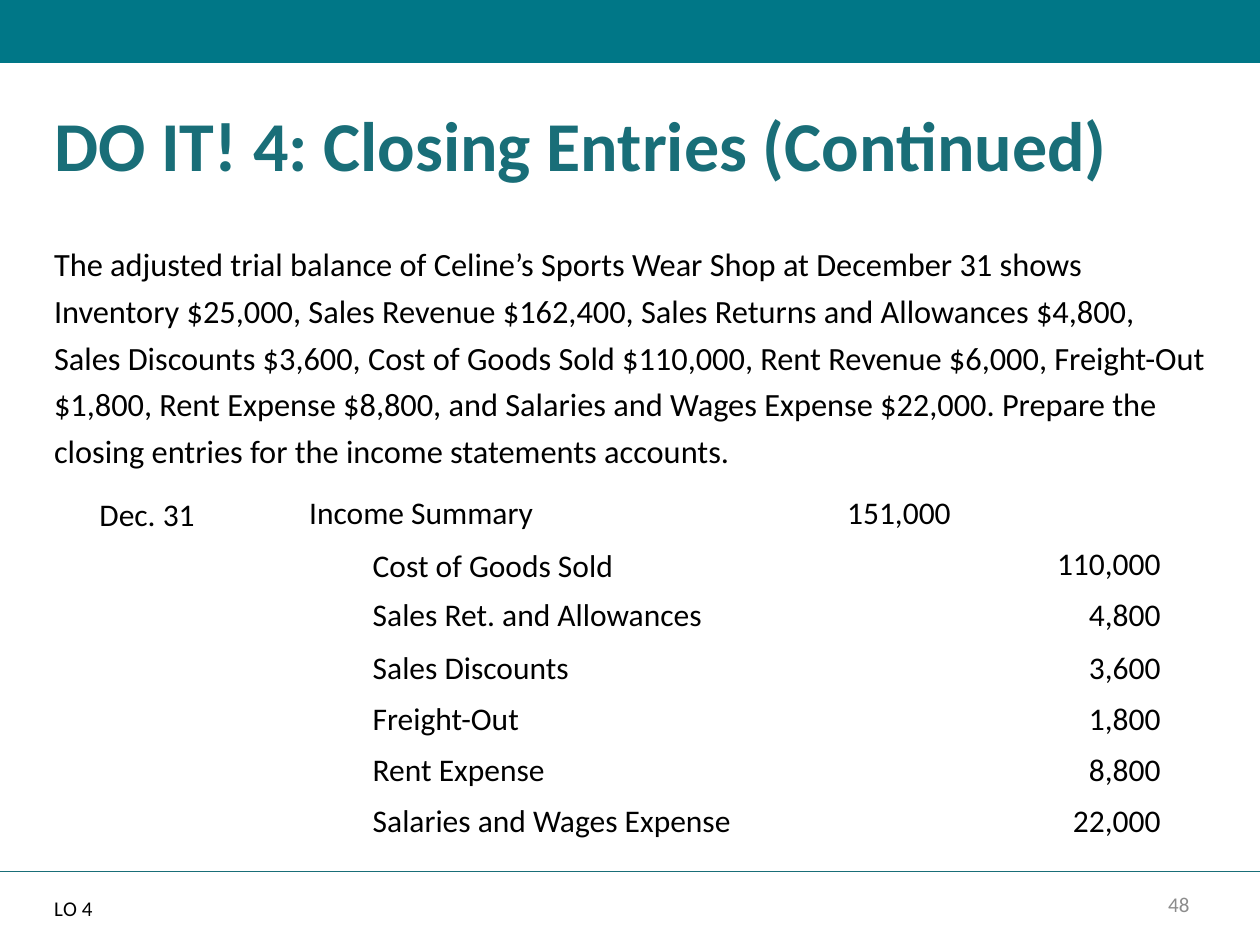
from lxml import etree
from pptx import Presentation
from pptx.dml.color import RGBColor
from pptx.enum.shapes import MSO_CONNECTOR, MSO_SHAPE
from pptx.enum.text import MSO_ANCHOR, MSO_AUTO_SIZE, PP_ALIGN
from pptx.oxml.ns import qn
from pptx.util import Cm, Pt

LEFT, CENTER, RIGHT = PP_ALIGN.LEFT, PP_ALIGN.CENTER, PP_ALIGN.RIGHT
TOP, MIDDLE = MSO_ANCHOR.TOP, MSO_ANCHOR.MIDDLE
RECTANGLE, STRAIGHT = MSO_SHAPE.RECTANGLE, MSO_CONNECTOR.STRAIGHT
NO_AUTOFIT = MSO_AUTO_SIZE.NONE

COLORS = {"band": "007787", "accent": "196E78", "text": "000000", "number": "8C8C8C"}
FONT = "Calibri"

TITLE = "DO IT! 4: Closing Entries (Continued)"
PROBLEM = (
    "The adjusted trial balance of Celine’s Sports Wear Shop at December 31 shows "
    "Inventory $25,000, Sales Revenue $162,400, Sales Returns and Allowances $4,800, "
    "Sales Discounts $3,600, Cost of Goods Sold $110,000, Rent Revenue $6,000, "
    "Freight-Out $1,800, Rent Expense $8,800, and Salaries and Wages Expense $22,000. "
    "Prepare the closing entries for the income statements accounts."
)
OBJECTIVE = [("L", 12), (" ", 1), ("O 4", 12)]
PAGE_NUMBER = "48"
ENTRIES = [
    ("Dec. 31", "Income Summary", "151,000", ""),
    ("", "Cost of Goods Sold", "", "110,000"),
    ("", "Sales Ret. and Allowances", "", "4,800"),
    ("", "Sales Discounts", "", "3,600"),
    ("", "Freight-Out", "", "1,800"),
    ("", "Rent Expense", "", "8,800"),
    ("", "Salaries and Wages Expense", "", "22,000"),
]
TIGHT_CELLS = {(0, 1), (0, 2), (1, 3), (2, 1), (2, 3)}
COLUMN_WIDTHS = [4.23, 9.68, 3.76, 4.23]
ROW_HEIGHT = 1.03
ACCOUNT_INDENT = 1.28
TIGHT = {"line_spacing": 0.9, "space_before": Pt(10)}


def write(para, runs, color="text", bold=False, **layout):
    for name, value in layout.items():
        setattr(para, name, value)
    for text, size in runs:
        span = para.add_run()
        span.text = text
        for name, value in {"name": FONT, "size": Pt(size), "bold": bold}.items():
            setattr(span.font, name, value)
        span.font.color.rgb = RGBColor.from_string(COLORS[color])


def place(box, left, top, width, height, anchor=TOP):
    bounds = {"left": left, "top": top, "width": width, "height": height}
    for name, value in bounds.items():
        setattr(box, name, Cm(value))
    frame = box.text_frame
    settings = {"word_wrap": True, "auto_size": NO_AUTOFIT, "vertical_anchor": anchor}
    for name, value in settings.items():
        setattr(frame, name, value)
    return frame.paragraphs[0]


def add_text(page, *bounds, anchor=TOP):
    return place(page.shapes.add_textbox(0, 0, 0, 0), *bounds, anchor=anchor)


def add_frame(page):
    band = page.shapes.add_shape(RECTANGLE, 0, 0, Cm(25.4), Cm(1.27))
    band.shadow.inherit = False
    band.fill.solid()
    band.fill.fore_color.rgb = RGBColor.from_string(COLORS["band"])
    band.line.fill.background()
    rule = page.shapes.add_connector(STRAIGHT, 0, Cm(17.57), Cm(25.4), Cm(17.57))
    rule.line.color.rgb = RGBColor.from_string(COLORS["accent"])
    rule.line.width = Pt(1)
    etree.SubElement(rule._element.spPr, qn("a:effectLst"))


def add_entries(page):
    table = page.shapes.add_table(
        len(ENTRIES), len(COLUMN_WIDTHS), Cm(1.75), Cm(9.88),
        Cm(sum(COLUMN_WIDTHS)), Cm(ROW_HEIGHT * len(ENTRIES)),
    ).table
    table.first_row = table.horz_banding = False
    for column, width in zip(table.columns, COLUMN_WIDTHS):
        column.width = Cm(width)
    for row, entry in enumerate(ENTRIES):
        table.rows[row].height = Cm(ROW_HEIGHT)
        for column, text in enumerate(entry):
            cell = table.cell(row, column)
            cell.fill.background()
            if not text:
                continue
            para = cell.text_frame.paragraphs[0]
            layout = TIGHT if (row, column) in TIGHT_CELLS else {}
            alignment = RIGHT if column > 1 else LEFT
            write(para, [(text, 18)], alignment=alignment, **layout)
            if column == 1 and row > 0:
                para._p.get_or_add_pPr().set("indent", str(Cm(ACCOUNT_INDENT)))


def main():
    deck = Presentation()
    deck.slide_width, deck.slide_height = Cm(25.4), Cm(19.05)
    page = deck.slides.add_slide(deck.slide_layouts[5])
    add_frame(page)
    title = place(page.shapes.title, 0.84, 2.11, 23.5, 2.06)
    write(title, [(TITLE, 40)], "accent", True, alignment=LEFT, line_spacing=0.9)
    problem = add_text(page, 0.84, 4.65, 23.75, 5.23)
    write(problem, [(PROBLEM, 18.5)], line_spacing=1.2, space_before=Pt(12))
    add_entries(page)
    write(add_text(page, 0.84, 17.98, 1.7, 0.84), OBJECTIVE, **TIGHT)
    number = add_text(page, 22.99, 17.88, 1.55, 0.71, anchor=MIDDLE)
    write(number, [(PAGE_NUMBER, 12)], "number", alignment=CENTER)
    deck.save("out.pptx")


if __name__ == "__main__":
    main()
